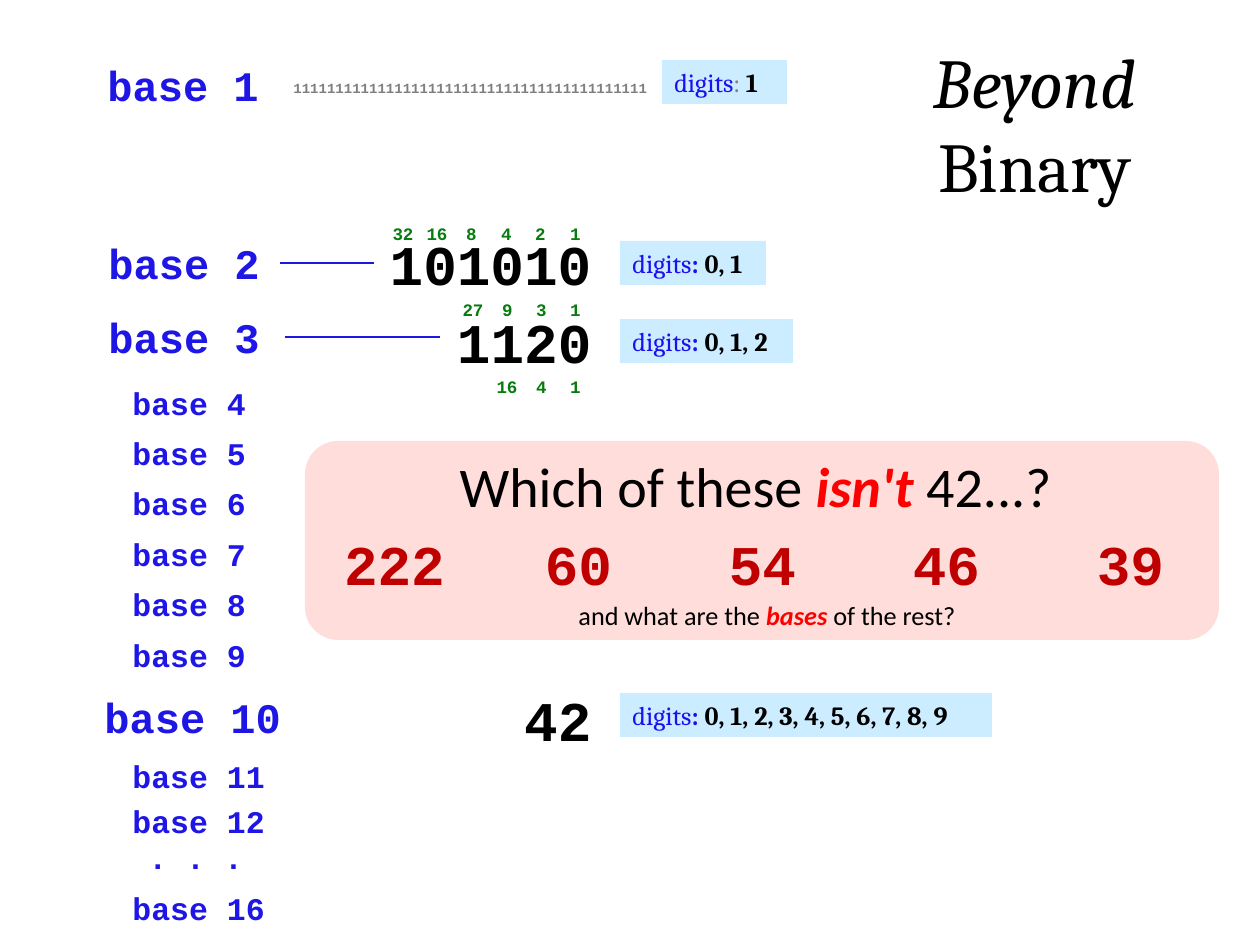
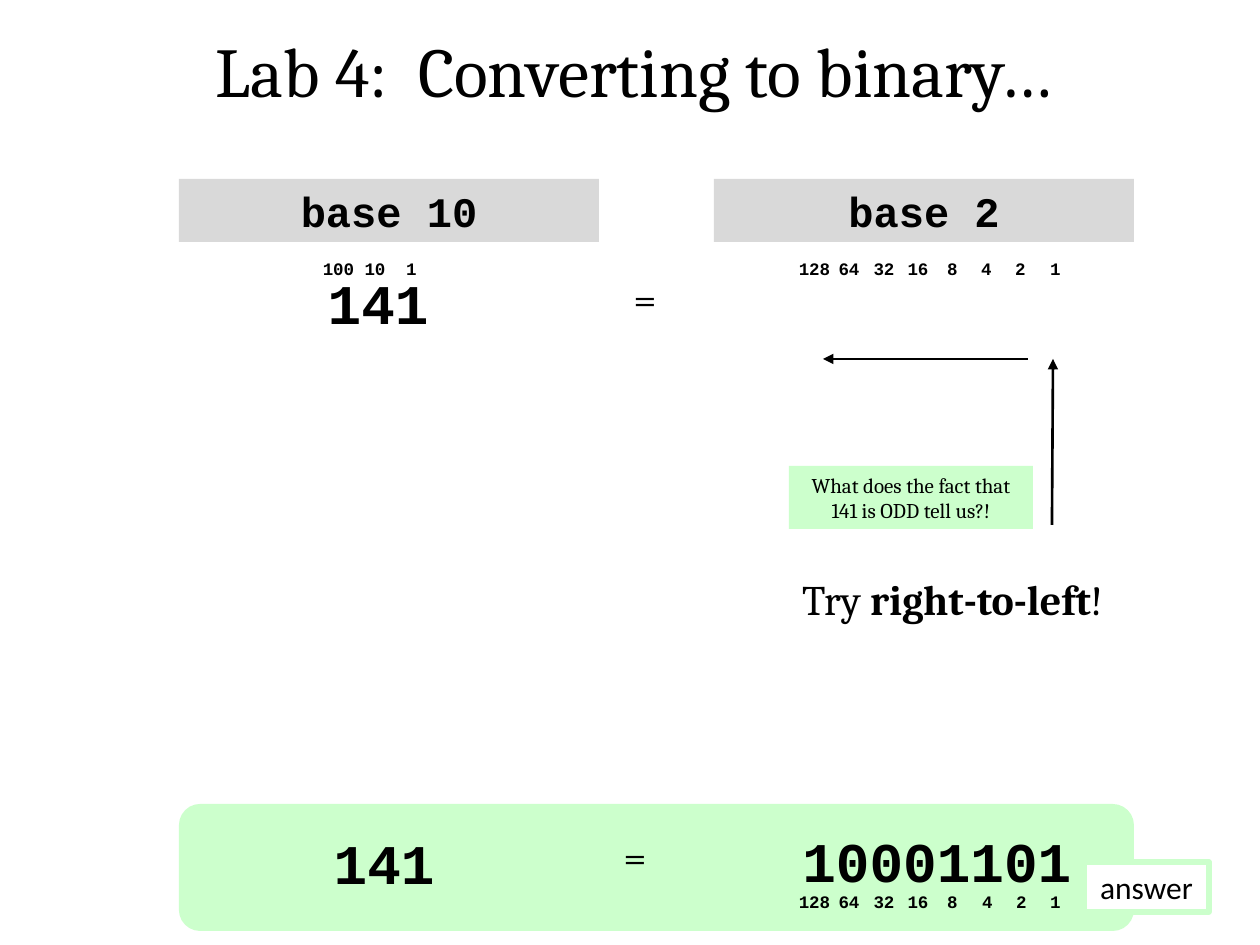
from dataclasses import dataclass
from typing import Optional

from lxml.etree import SubElement
from pptx import Presentation
from pptx.dml.color import RGBColor
from pptx.enum.shapes import MSO_CONNECTOR, MSO_SHAPE
from pptx.enum.text import MSO_ANCHOR, MSO_AUTO_SIZE, PP_ALIGN
from pptx.oxml.ns import qn
from pptx.util import Emu, Pt

PX_PER_INCH = 126
COLORS = {
    "black": "000000", "white": "FFFFFF", "gray": "7F7F7F", "colon": "808080",
    "base": "1E16E4", "label": "1C10EF", "place": "067B0E", "sky": "CCECFF",
    "quiz": "FEDDDA", "quiz_digits": "C00000", "red": "FF0000",
    "mint": "CCFFCC", "header": "D9D9D9",
}
MONO, SERIF, SANS = "Courier New", "Cambria", "Calibri"
LEFT, CENTER, RIGHT = PP_ALIGN.LEFT, PP_ALIGN.CENTER, PP_ALIGN.RIGHT


@dataclass(frozen=True)
class Box:
    x: int
    y: int
    w: int
    h: int


@dataclass(frozen=True)
class Style:
    font: str
    size: int
    color: str = "black"
    bold: bool = False
    align: PP_ALIGN = LEFT


@dataclass(frozen=True)
class Span:
    """A run; None keeps the paragraph's own setting."""
    text: str
    color: Optional[str] = None
    bold: Optional[bool] = None
    italic: Optional[bool] = None


@dataclass(frozen=True)
class PlaceRow:
    """Place values spaced evenly between two centre positions."""
    values: str
    first: int
    last: int
    y: int
    color: str = "black"


@dataclass(frozen=True)
class DigitsTag:
    box: Box
    digits: str
    colon: Span = Span(": ", bold=True)


TITLE = Style(SERIF, 40, align=CENTER)
BASE_BIG = Style(MONO, 24, "base", True)
BASE_SMALL = Style(MONO, 18, "base", True)
NUMBER = Style(MONO, 32, bold=True, align=RIGHT)
QUIZ_NUMBER = Style(MONO, 32, "quiz_digits", True, CENTER)
QUESTION = Style(SANS, 32, align=CENTER)
FOLLOW_UP = Style(SANS, 15, align=CENTER)
DIGITS = Style(SERIF, 15, "label")
HEADER = Style(MONO, 24, bold=True, align=CENTER)
SERIF_24 = Style(SERIF, 24, align=CENTER)
HINT = Style(SERIF, 12, align=CENTER)
ANSWER = Style(SANS, 18, align=CENTER)


def px(n: int) -> Emu:
    return Emu(round(n * 914400 / PX_PER_INCH))


def rgb(name: str) -> RGBColor:
    return RGBColor.from_string(COLORS[name])


def place(shape, box: Box) -> None:
    shape.left, shape.top = px(box.x), px(box.y)
    shape.width, shape.height = px(box.w), px(box.h)


def write(shape, style: Style, *spans: Span, wrap: bool = True) -> None:
    tf = shape.text_frame
    tf.auto_size = MSO_AUTO_SIZE.NONE
    tf.word_wrap = wrap
    tf.vertical_anchor = MSO_ANCHOR.TOP
    p = tf.paragraphs[0]
    p.alignment = style.align
    p.font.name, p.font.size = style.font, Pt(style.size)
    p.font.bold = style.bold
    p.font.color.rgb = rgb(style.color)
    for span in spans:
        r = p.add_run()
        r.text = span.text
        if span.color:
            r.font.color.rgb = rgb(span.color)
        if span.bold is not None:
            r.font.bold = span.bold
        if span.italic is not None:
            r.font.italic = span.italic


def add_text(s, box: Box, style: Style, *spans: Span, wrap: bool = True) -> None:
    tb = s.shapes.add_textbox(px(box.x), px(box.y), px(box.w), px(box.h))
    write(tb, style, *spans, wrap=wrap)


def add_panel(s, box: Box, fill: str, kind=MSO_SHAPE.RECTANGLE):
    sp = s.shapes.add_shape(kind, px(box.x), px(box.y), px(box.w), px(box.h))
    sp.shadow.inherit = False
    sp.fill.solid()
    sp.fill.fore_color.rgb = rgb(fill)
    sp.line.fill.background()
    return sp


def add_line(s, x1: int, y1: int, x2: int, y2: int, color: str,
             arrow: bool = False) -> None:
    cn = s.shapes.add_connector(MSO_CONNECTOR.STRAIGHT,
                                px(x1), px(y1), px(x2), px(y2))
    cn.line.color.rgb = rgb(color)
    cn.line.width = Pt(1.5)
    if arrow:
        SubElement(cn.line._get_or_add_ln(), qn("a:tailEnd"), type="triangle")
    SubElement(cn._element.spPr, qn("a:effectLst"))


def add_place_row(s, row: PlaceRow) -> None:
    values = row.values.split()
    step = (row.last - row.first) / (len(values) - 1)
    style = Style(MONO, 10, row.color, True, CENTER)
    for i, value in enumerate(values):
        w = 24 + 11 * len(value)
        x = round(row.first + i * step - w / 2)
        add_text(s, Box(x, row.y, w, 34), style, Span(value), wrap=False)


def add_digits_tag(s, tag: DigitsTag) -> None:
    write(add_panel(s, tag.box, "sky"), DIGITS, Span("digits"), tag.colon,
          Span(tag.digits, "black", True))


def new_slide(prs, title_box: Box, *title: Span):
    s = prs.slides.add_slide(prs.slide_layouts[5])
    place(s.shapes.title, title_box)
    write(s.shapes.title, TITLE, *title)
    return s


def beyond_binary(prs) -> None:
    s = new_slide(prs, Box(872, 32, 326, 183),
                  Span("Beyond ", italic=True), Span("Binary"))

    add_panel(s, Box(305, 441, 914, 199), "quiz", MSO_SHAPE.ROUNDED_RECTANGLE)
    add_text(s, Box(388, 445, 735, 81), QUESTION, Span("Which of these "),
             Span("isn't ", "red", True, True), Span("42...?"))
    for i, number in enumerate(("222", "60", "54", "46", "39")):
        add_text(s, Box(321 + 184 * i, 523, 147, 79), QUIZ_NUMBER, Span(number))
    add_text(s, Box(460, 593, 614, 44), FOLLOW_UP, Span("and what are the "),
             Span("bases ", "red", True, True), Span("of the rest?"))

    for base, x, y in ((1, 95, 53), (2, 96, 231), (3, 96, 305), (10, 92, 685)):
        add_text(s, Box(x, y, 420, 63), BASE_BIG, Span(f"base {base}"))
    small_tops = {base: 378 + 252 * (base - 4) // 5 for base in range(4, 10)}
    small_tops |= {11: 751, 12: 796, 16: 883}
    for base, y in small_tops.items():
        add_text(s, Box(120, y, 420, 50), BASE_SMALL, Span(f"base {base}"))
    add_text(s, Box(136, 832, 420, 50), BASE_SMALL, Span(". . ."))

    add_text(s, Box(281, 73, 393, 47), Style(MONO, 8, "gray", True),
             Span("1" * 42))
    for number, y in (("101010", 223), ("1120", 301), ("42", 679)):
        add_text(s, Box(289, y, 315, 79), NUMBER, Span(number))
    for row in (
        PlaceRow("32 16 8 4 2 1", 403, 575, 217, "place"),
        PlaceRow("27 9 3 1", 473, 575, 293, "place"),
        PlaceRow("16 4 1", 507, 576, 370, "place"),
    ):
        add_place_row(s, row)
    add_line(s, 280, 263, 374, 263, "base")
    add_line(s, 285, 337, 440, 337, "base")

    for tag in (
        DigitsTag(Box(662, 60, 125, 44), "1", Span(": ", "colon")),
        DigitsTag(Box(620, 241, 146, 44), "0, 1"),
        DigitsTag(Box(620, 319, 173, 44), "0, 1, 2"),
        DigitsTag(Box(620, 693, 372, 44), "0, 1, 2, 3, 4, 5, 6, 7, 8, 9"),
    ):
        add_digits_tag(s, tag)


def converting_to_binary(prs) -> None:
    s = new_slide(prs, Box(135, 21, 998, 97),
                  Span("Lab 4:  Converting to binary…"))

    add_panel(s, Box(179, 804, 955, 127), "mint", MSO_SHAPE.ROUNDED_RECTANGLE)
    for x, base in ((179, 10), (714, 2)):
        write(add_panel(s, Box(x, 179, 420, 63), "header"), HEADER,
              Span(f"base {base}"))

    for number, box in (
        ("141", Box(294, 262, 147, 79)),
        ("141", Box(300, 822, 147, 79)),
        ("10001101", Box(759, 820, 325, 81)),
    ):
        add_text(s, box, NUMBER, Span(number))
    for x, y in ((577, 266), (567, 824)):
        add_text(s, Box(x, y, 136, 63), SERIF_24, Span("="))

    powers_of_two = "128 64 32 16 8 4 2 1"
    for row in (
        PlaceRow("100 10 1", 338, 411, 252),
        PlaceRow(powers_of_two, 815, 1055, 252),
        PlaceRow(powers_of_two, 815, 1056, 885),
    ):
        add_place_row(s, row)

    add_line(s, 1052, 525, 1053, 359, "black", arrow=True)
    add_line(s, 1028, 359, 823, 359, "black", arrow=True)
    write(add_panel(s, Box(789, 466, 244, 63), "mint"), HINT,
          Span("What does the fact that 141 is ODD tell us?!"))
    add_text(s, Box(757, 567, 391, 63), SERIF_24, Span("Try "),
             Span("right-to-left", bold=True), Span("!"))

    answer = add_panel(s, Box(1084, 862, 125, 50), "white")
    answer.line.color.rgb = rgb("mint")
    answer.line.width = Pt(3)
    write(answer, ANSWER, Span("answer"))


def main() -> None:
    prs = Presentation()
    prs.slide_width, prs.slide_height = px(1260), px(945)
    beyond_binary(prs)
    converting_to_binary(prs)
    prs.save("out.pptx")


if __name__ == "__main__":
    main()
